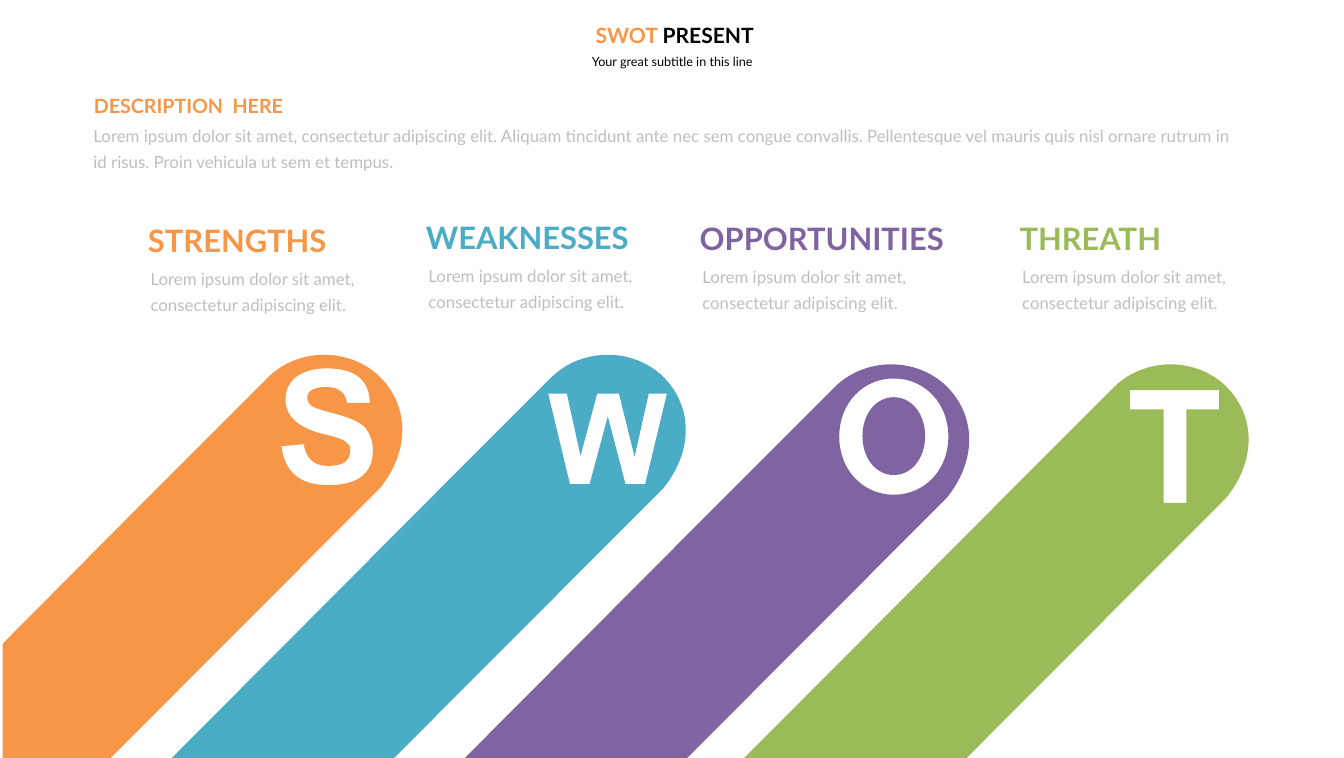
from lxml import etree
from pptx import Presentation
from pptx.dml.color import RGBColor
from pptx.enum.text import MSO_ANCHOR, MSO_AUTO_SIZE, PP_ALIGN
from pptx.oxml.ns import qn
from pptx.util import Inches, Pt

TOP, MIDDLE = MSO_ANCHOR.TOP, MSO_ANCHOR.MIDDLE
LEFT, CENTER = PP_ALIGN.LEFT, PP_ALIGN.CENTER
GROW = MSO_AUTO_SIZE.SHAPE_TO_FIT_TEXT

PAGE_WIDTH, PAGE_HEIGHT = 26.6, 15
FONT = "Lato"
COLORS = {
    "orange": "F79646", "blue": "4BACC6", "purple": "8064A2",
    "green": "9BBB59", "gray": "BFBFBF", "black": "000000",
}
BODY = "Lorem ipsum dolor sit amet, consectetur adipiscing elit."
DESCRIPTION = (
    BODY + " Aliquam tincidunt ante nec sem congue convallis. "
    "Pellentesque vel mauris quis nisl ornare rutrum in id risus. "
    "Proin vehicula ut sem et tempus."
)


def ellipse(center_x, center_y, radius_x, radius_y):
    """Outline of an oval: a start point and four curves."""
    def at(x, y):
        return (center_x + x * radius_x, center_y + y * radius_y)

    pull = 0.57
    corners = [(0, -1), (1, 0), (0, 1), (-1, 0), (0, -1)]
    outline = [at(*corners[0])]
    for (x1, y1), (x2, y2) in zip(corners, corners[1:]):
        outline.append(at(x1 + pull * x2, y1 + pull * y2)
                       + at(x2 + pull * x1, y2 + pull * y1) + at(x2, y2))
    return outline


# Letter outlines in inches from the top of the band's round cap.
# Two numbers are a corner, six are a Bezier curve.
LETTERS = {
    "S": [[
        (0.05, 0.27),
        (-0.08, 0.27, -0.19, 0.28, -0.29, 0.31),
        (-0.39, 0.34, -0.47, 0.38, -0.55, 0.43),
        (-0.62, 0.48, -0.67, 0.55, -0.71, 0.62),
        (-0.75, 0.7, -0.77, 0.79, -0.77, 0.89),
        (-0.77, 1.05, -0.71, 1.19, -0.59, 1.3),
        (-0.47, 1.41, -0.29, 1.5, -0.06, 1.56),
        (0.2, 1.62, 0.36, 1.67, 0.42, 1.72),
        (0.45, 1.74, 0.47, 1.76, 0.49, 1.79),
        (0.51, 1.82, 0.51, 1.85, 0.51, 1.89),
        (0.51, 2.1, 0.37, 2.2, 0.07, 2.2),
        (-0.2, 2.2, -0.36, 2.06, -0.41, 1.77),
        (-0.85, 1.81),
        (-0.79, 2.32, -0.48, 2.58, 0.07, 2.58),
        (0.67, 2.58, 0.96, 2.35, 0.96, 1.89),
        (0.96, 1.73, 0.92, 1.59, 0.83, 1.47),
        (0.79, 1.41, 0.72, 1.36, 0.6, 1.3),
        (0.49, 1.25, 0.34, 1.2, 0.15, 1.15),
        (0.03, 1.12, -0.06, 1.09, -0.13, 1.07),
        (-0.2, 1.04, -0.25, 1.02, -0.27, 1),
        (-0.31, 0.96, -0.34, 0.91, -0.34, 0.86),
        (-0.34, 0.71, -0.21, 0.64, 0.04, 0.64),
        (0.28, 0.64, 0.42, 0.75, 0.45, 0.96),
        (0.9, 0.95),
        (0.89, 0.49, 0.6, 0.27, 0.05, 0.27),
    ]],
    "W": [[
        (-1.18, 0.77), (-0.75, 2.56), (-0.36, 2.56), (0, 1.22), (0.35, 2.56),
        (0.74, 2.56), (1.17, 0.77), (0.81, 0.77), (0.53, 2.02), (0.22, 0.77),
        (-0.21, 0.77), (-0.54, 2), (-0.81, 0.77),
    ]],
    "O": [ellipse(0.05, 1.43, 1.08, 1.15), ellipse(0.05, 1.42, 0.62, 0.77)],
    "T": [[
        (-0.81, 0.51), (-0.81, 0.89), (-0.14, 0.89), (-0.14, 2.74),
        (0.31, 2.74), (0.31, 0.89), (0.96, 0.89), (0.96, 0.51),
    ]],
}

# Letter, heading, colour, heading box (left, top, width), cap top (x, y)
COLUMNS = [
    ("O", "OPPORTUNITIES", "purple", (13.75, 4.29, 5.62), (17.64, 7.21)),
    ("T", "THREATH", "green", (20.08, 4.3, 4.61), (23.17, 7.21)),
    ("W", "WEAKNESSES", "blue", (8.33, 4.28, 4.61), (12.03, 7.02)),
    ("S", "STRENGTHS", "orange", (2.83, 4.33, 4.61), (6.42, 7.02)),
]


def rgb(name):
    return RGBColor.from_string(COLORS[name])


def write(box, spans, size, bold=False, align=LEFT, anchor=TOP,
          inset=0.1, spacing=1.0):
    """Fill a box with one paragraph of (text, colour) spans."""
    frame = box.text_frame
    frame.word_wrap = True
    frame.auto_size = GROW
    frame.vertical_anchor = anchor
    frame.margin_left = frame.margin_right = Inches(inset)
    frame.margin_top = frame.margin_bottom = Inches(inset / 2)
    para = frame.paragraphs[0]
    para.alignment = align
    para.line_spacing = spacing
    for text, color in spans:
        span = para.add_run()
        span.text = text
        span.font.name = FONT
        span.font.size = Pt(size)
        span.font.bold = bold
        span.font.color.rgb = rgb(color)


def add_text(page, bounds, text, color, **style):
    box = page.shapes.add_textbox(*map(Inches, bounds))
    write(box, [(text, color)], **style)


def draw_contour(drawing, outline, left):
    """Append one closed contour of corners and curves to a custom geometry."""
    for index, numbers in enumerate(outline):
        tag = "a:moveTo" if index == 0 else (
            "a:lnTo" if len(numbers) == 2 else "a:cubicBezTo")
        command = etree.SubElement(drawing, qn(tag))
        for x, y in zip(numbers[::2], numbers[1::2]):
            etree.SubElement(command, qn("a:pt"),
                             x=str(Inches(x - left)), y=str(Inches(y)))
    etree.SubElement(drawing, qn("a:close"))


def add_header(page, left, top, width):
    title = page.shapes.title
    title.left, title.top = Inches(left), Inches(top)
    title.width, title.height = Inches(width), Inches(0.71)
    write(title, [("SWOT ", "orange"), ("PRESENT", "black")],
          size=30, bold=True, align=CENTER, inset=0.2)
    add_text(page, (left + 0.92, top + 0.61, 8.17, 0.55),
             "Your great subtitle in this line", "black",
             size=18, align=CENTER, inset=0.24)


def add_description(page, left, top, width):
    add_text(page, (left, top + 0.48, width, 1.32), DESCRIPTION, "gray",
             size=24, anchor=MIDDLE, inset=0.27, spacing=1.3)
    add_text(page, (left + 0.08, top, 4.61, 0.67), "DESCRIPTION  HERE",
             "orange", size=28, bold=True, inset=0.2)


def add_column_text(page, left, top, width, heading, color):
    add_text(page, (left - 0.12, top + 0.72, 5.23, 1.32), BODY, "gray",
             size=24, anchor=MIDDLE, inset=0.27, spacing=1.3)
    add_text(page, (left, top, width, 0.84), heading, color, size=44, bold=True)


def add_band(page, cap_x, cap_y, letter, color):
    """Diagonal band with a round cap, running off the page, letter cut out."""
    drop = PAGE_HEIGHT - cap_y
    edge = 0.05 - cap_x
    left, right = max(edge, -0.65 - drop), 1.54
    outline = [(0, 0), (0.4, 0, 0.81, 0.15, 1.1, 0.44),
               (1.69, 1.03, 1.69, 1.91, 1.1, 2.64),
               (3.75 - drop, drop), (left, drop)]
    if left == edge:  # clipped at the left edge of the page
        outline.append((edge, -0.65 - edge))
    outline += [(-3.17, 2.5), (-1.11, 0.44), (-0.81, 0.15, -0.41, 0, 0, 0)]

    # A freeform of the band's extent, whose outline is then drawn with curves
    corners = [(Inches(cap_x + x), Inches(cap_y + y))
               for x, y in [(left, 0), (right, 0), (right, drop), (left, drop)]]
    builder = page.shapes.build_freeform(*corners[0])
    builder.add_line_segments(corners[1:], close=True)
    band = builder.convert_to_shape()
    drawing = next(band.element.iter(qn("a:path")))
    for command in list(drawing):
        drawing.remove(command)
    for contour in [outline] + LETTERS[letter]:
        draw_contour(drawing, contour, left)
    band.shadow.inherit = False
    band.fill.solid()
    band.fill.fore_color.rgb = rgb(color)
    band.line.fill.background()


def main():
    deck = Presentation()
    deck.slide_width, deck.slide_height = Inches(PAGE_WIDTH), Inches(PAGE_HEIGHT)
    page = deck.slides.add_slide(deck.slide_layouts[5])

    # Diagonal bands
    for letter, _, color, _, cap in COLUMNS:
        add_band(page, *cap, letter, color)

    # Title, description and column texts
    add_header(page, 8.3, 0.34, 10.11)
    add_description(page, 1.58, 1.75, 23.14)
    for _, heading, color, bounds, _ in COLUMNS:
        add_column_text(page, *bounds, heading, color)

    deck.save("out.pptx")


if __name__ == "__main__":
    main()
